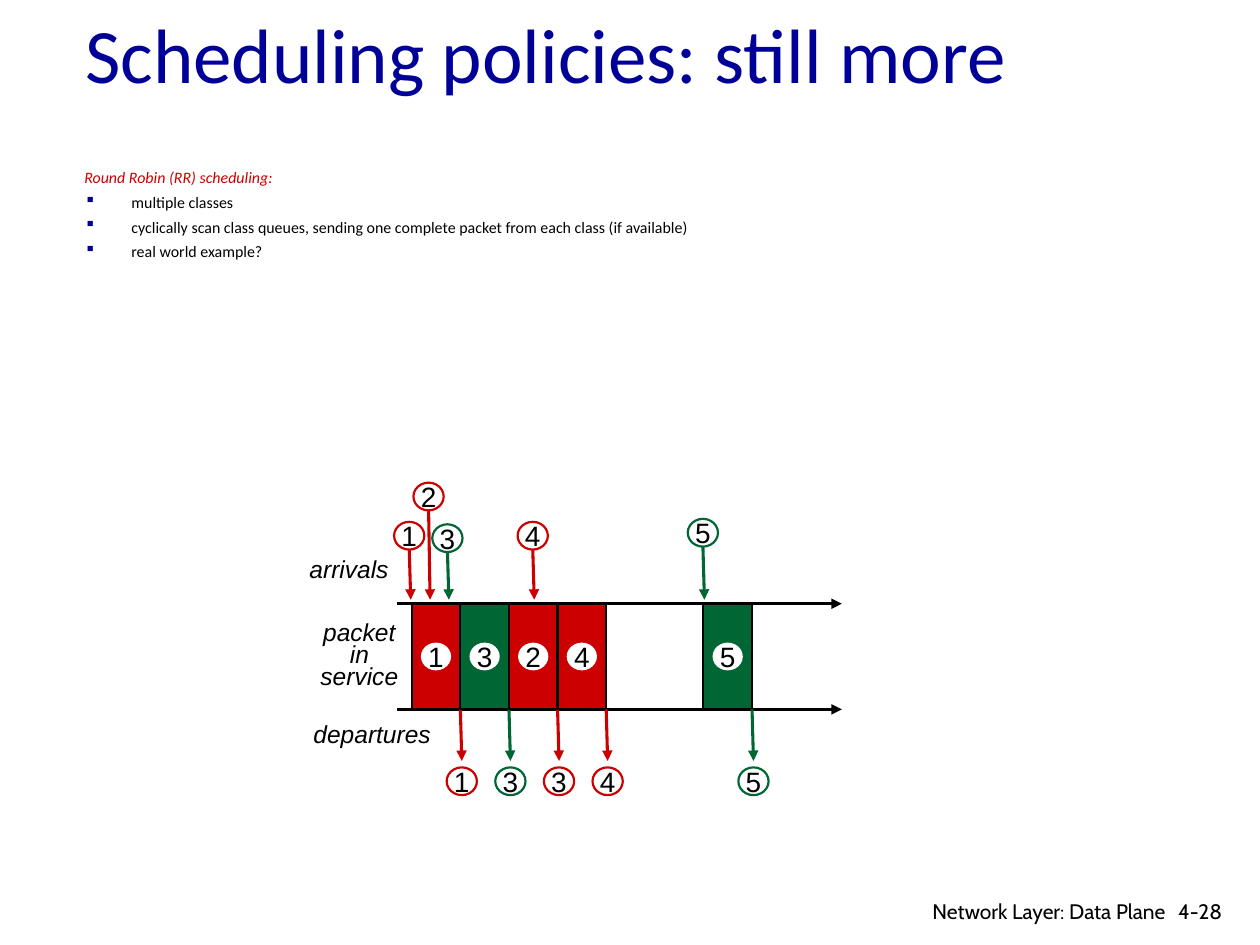
"""Build the round robin scheduling slide with its packet timeline."""
from dataclasses import dataclass
from typing import NamedTuple

from lxml import etree
from pptx import Presentation
from pptx.dml.color import RGBColor
from pptx.enum.shapes import MSO_CONNECTOR, MSO_SHAPE
from pptx.enum.text import MSO_ANCHOR, PP_ALIGN
from pptx.oxml.ns import qn
from pptx.util import Cm, Pt

STRAIGHT = MSO_CONNECTOR.STRAIGHT
RECT, OVAL = MSO_SHAPE.RECTANGLE, MSO_SHAPE.OVAL
TOP, MIDDLE = MSO_ANCHOR.TOP, MSO_ANCHOR.MIDDLE
LEFT, CENTER, RIGHT = PP_ALIGN.LEFT, PP_ALIGN.CENTER, PP_ALIGN.RIGHT


@dataclass(frozen=True)
class Theme:
    navy: str = "000099"
    red: str = "CC0000"
    green: str = "006633"
    black: str = "000000"
    white: str = "FFFFFF"
    text_font: str = "Calibri"
    diagram_font: str = "Arial"
    footer_font: str = "Cabin"
    title_size: float = 44
    body_size: float = 9.1
    number_size: float = 16
    label_size: float = 14
    footer_size: float = 12
    axis_width: float = 2
    arrow_width: float = 1.75
    outline_width: float = 1.25


class Label(NamedTuple):
    text: str
    left: float
    top: float
    width: float
    height: float
    font: str
    size: float
    color: str
    italic: bool = False
    align: int = LEFT
    anchor: int = TOP
    wrap: bool = True
    spacing: object = None


class Arrival(NamedTuple):
    number: str
    color: str
    x: float
    y: float


class Service(NamedTuple):
    number: str
    departs_as: str
    color: str
    slot: int


T = Theme()
AXIS_LEFT, AXIS_RIGHT = 8, 16.97
ARRIVAL_Y, DEPARTURE_Y = 12.17, 14.3
SLOT_LEFT, SLOT_WIDTH = 8.3, 0.98
DISC_WIDTH, DISC_HEIGHT = 0.61, 0.56
SLANT = 0.03
DEPARTED_Y = 15.75

BULLETS = [
    "multiple classes",
    "cyclically scan class queues, sending one complete packet from each class (if available)",
    "real world example?",
]
LABELS = [
    Label("Scheduling policies: still more", 1.47, 0.03, 21.59, 2.08,
          T.text_font, T.title_size, T.navy, anchor=MIDDLE),
    Label("arrivals", 5.99, 11.05, 2.11, 0.86,
          T.diagram_font, T.label_size, T.black, True, wrap=False),
    Label("departures", 6.07, 14.38, 2.87, 0.86,
          T.diagram_font, T.label_size, T.black, True, wrap=False),
    Label("packet in service", 6.05, 12.45, 2.39, 1.6,
          T.diagram_font, T.label_size, T.black, True, CENTER, spacing=Pt(12.7)),
    Label("4-28", 23.5, 17.98, 1.55, 0.76, T.footer_font, T.footer_size, T.black),
    Label("Network Layer: Data Plane", 17.7, 17.98, 6.05, 0.66,
          T.footer_font, T.footer_size, T.black, align=RIGHT),
]
ARRIVALS = [
    Arrival("5", T.green, 14.17, 10.74),
    Arrival("2", T.red, 8.64, 10.01),
    Arrival("1", T.red, 8.25, 10.8),
    Arrival("3", T.green, 9.02, 10.85),
    Arrival("4", T.red, 10.74, 10.8),
]
SERVICES = [
    Service("1", "1", T.red, 0),
    Service("3", "3", T.green, 1),
    Service("2", "3", T.red, 2),
    Service("4", "4", T.red, 3),
    Service("5", "5", T.green, 6),
]


def style_run(p, font: str, size: float, color: str, italic: bool = False) -> None:
    f = p.runs[0].font
    f.name, f.size, f.italic = font, Pt(size), italic
    f.color.rgb = RGBColor.from_string(color)


def add_label(s, label: Label) -> None:
    tf = s.shapes.add_textbox(Cm(label.left), Cm(label.top),
                              Cm(label.width), Cm(label.height)).text_frame
    tf.word_wrap = label.wrap
    tf.vertical_anchor = label.anchor
    tf.text = label.text
    p = tf.paragraphs[0]
    p.alignment = label.align
    p.line_spacing = label.spacing
    style_run(p, label.font, label.size, label.color, label.italic)


def add_bullet(p) -> None:
    pPr = p._p.get_or_add_pPr()
    color = etree.SubElement(pPr, qn("a:buClr"))
    etree.SubElement(color, qn("a:srgbClr"), val=T.navy)
    etree.SubElement(pPr, qn("a:buChar"), char="▪")


def add_body(s) -> None:
    tf = s.shapes.add_textbox(Cm(1.45), Cm(3.38), Cm(21.59), Cm(2.11)).text_frame
    tf.word_wrap = True
    tf.text = "\n".join(["Round Robin (RR) scheduling:", *BULLETS])
    for i, p in enumerate(tf.paragraphs):
        p.line_spacing, p.space_before = 0.65, Pt(7)
        pPr = p._p.get_or_add_pPr()
        pPr.set("marL", str(Cm(0.95)))
        pPr.set("indent", str(-Cm(0.95)))
        if i:
            add_bullet(p)
        style_run(p, T.text_font, T.body_size, T.black if i else T.red, i == 0)


def add_arrow(s, start: tuple[float, float], end: tuple[float, float],
              color: str, width: float) -> None:
    line = s.shapes.add_connector(STRAIGHT, *map(Cm, start), *map(Cm, end))
    line.line.color.rgb = RGBColor.from_string(color)
    line.line.width = Pt(width)
    etree.SubElement(line.line._get_or_add_ln(), qn("a:tailEnd"), type="triangle")
    etree.SubElement(line._element.spPr, qn("a:effectLst"))


def add_block(s, kind: int, x: float, y: float, width: float, height: float,
              fill: str, outline: str | None):
    sp = s.shapes.add_shape(kind, Cm(x), Cm(y), Cm(width), Cm(height))
    sp.shadow.inherit = False
    sp.fill.solid()
    sp.fill.fore_color.rgb = RGBColor.from_string(fill)
    if outline:
        sp.line.color.rgb = RGBColor.from_string(outline)
        sp.line.width = Pt(T.outline_width)
    else:
        sp.line.fill.background()
    return sp


def add_disc(s, number: str, x: float, y: float, outline: str | None = None) -> None:
    sp = add_block(s, OVAL, x - DISC_WIDTH / 2, y - DISC_HEIGHT / 2,
                   DISC_WIDTH, DISC_HEIGHT, T.white, outline)
    tf = sp.text_frame
    tf.margin_left = tf.margin_right = tf.margin_top = tf.margin_bottom = 0
    tf.word_wrap = False
    tf.vertical_anchor = MIDDLE
    tf.text = number
    tf.paragraphs[0].alignment = CENTER
    style_run(tf.paragraphs[0], T.diagram_font, T.number_size, T.black)


def add_arrival(s, a: Arrival) -> None:
    add_arrow(s, (a.x, a.y + DISC_HEIGHT / 2), (a.x + SLANT, ARRIVAL_Y - 0.08),
              a.color, T.arrow_width)
    add_disc(s, a.number, a.x, a.y, a.color)


def add_service(s, packet: Service) -> None:
    left = SLOT_LEFT + packet.slot * SLOT_WIDTH
    right = left + SLOT_WIDTH
    add_block(s, RECT, left, ARRIVAL_Y, SLOT_WIDTH, DEPARTURE_Y - ARRIVAL_Y,
              packet.color, T.black)
    add_disc(s, packet.number, left + SLOT_WIDTH / 2, (ARRIVAL_Y + DEPARTURE_Y) / 2)
    add_arrow(s, (right, DEPARTURE_Y), (right + SLANT, DEPARTURE_Y + 1.04),
              packet.color, T.arrow_width)
    add_disc(s, packet.departs_as, right + SLANT, DEPARTED_Y, packet.color)


def main() -> None:
    prs = Presentation()
    prs.slide_width, prs.slide_height = Cm(25.4), Cm(19.05)
    s = prs.slides.add_slide(prs.slide_layouts[6])
    add_body(s)
    for y in (ARRIVAL_Y, DEPARTURE_Y):
        add_arrow(s, (AXIS_LEFT, y), (AXIS_RIGHT, y), T.black, T.axis_width)
    for packet in SERVICES:
        add_service(s, packet)
    for arrival in ARRIVALS:
        add_arrival(s, arrival)
    for label in LABELS:
        add_label(s, label)
    prs.save("out.pptx")


if __name__ == "__main__":
    main()
